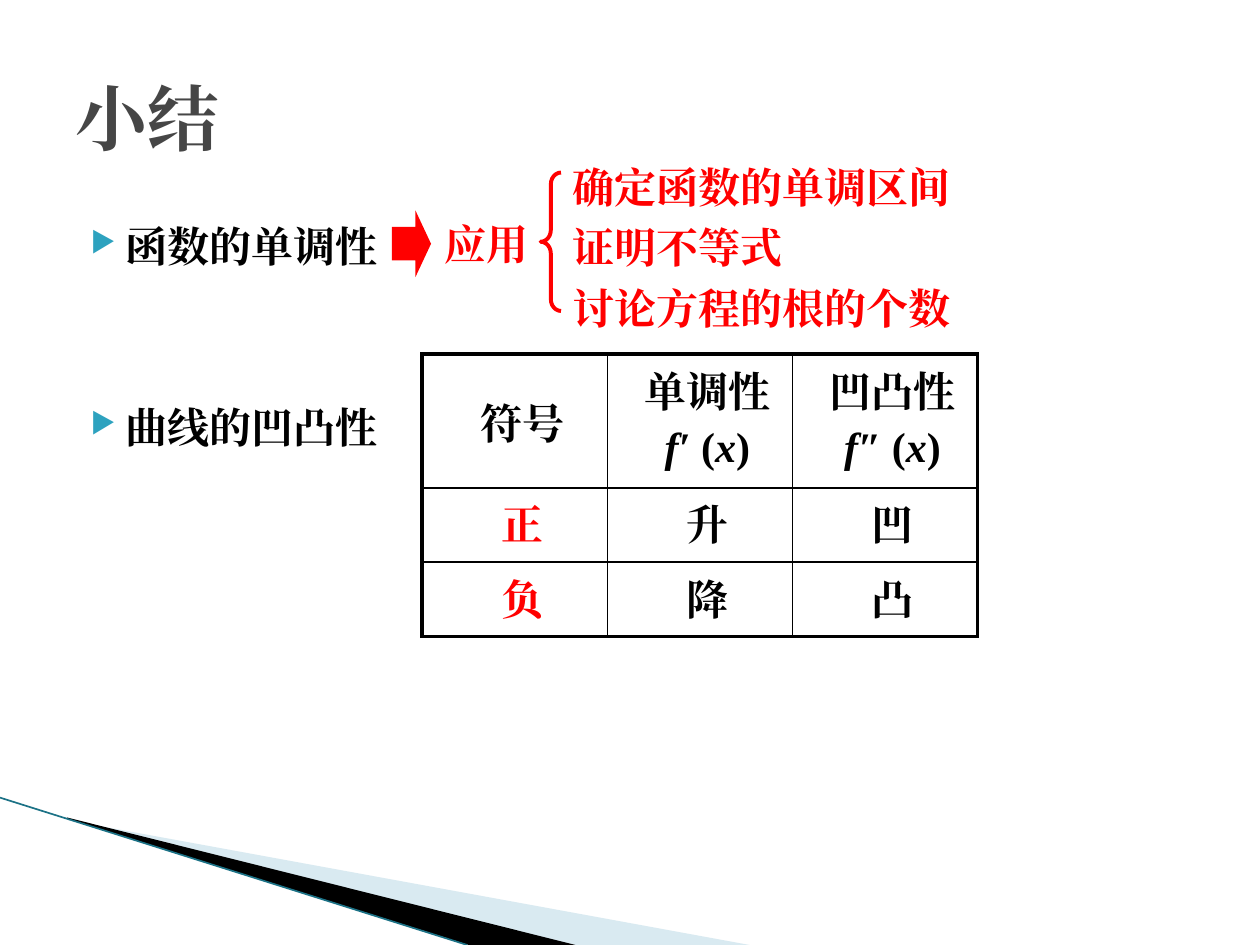
from dataclasses import dataclass

from lxml import etree
from pptx import Presentation
from pptx import util as u
from pptx.dml.color import RGBColor
from pptx.enum import shapes, text
from pptx.oxml import ns


@dataclass(frozen=True)
class Theme:
    font: str = "Times New Roman"
    ink: str = "000000"
    title_ink: str = "464646"
    accent: str = "FF0000"
    bullet: str = "2DA2BF"
    pale: str = "A0CBDC"
    edge: str = "1C7286"
    title_size: float = 41
    body_size: float = 24
    spacing: float = 1.2
    thick: float = 2.25
    thin: float = 1


THEME = Theme()


def add_xml(parent, tag, **attributes):
    return etree.SubElement(parent, ns.qn(tag), attributes)


def write(paragraph, content, color=THEME.ink, size=THEME.body_size, italic=False):
    run = paragraph.add_run()
    run.text = content
    font = run.font
    font.name, font.size, font.bold, font.italic = THEME.font, u.Pt(size), True, italic
    font.color.rgb = RGBColor.from_string(color)
    properties = run._r.get_or_add_rPr()
    properties.set("lang", "zh-CN")
    add_xml(properties, "a:ea", typeface=THEME.font)


class SlideBuilder:
    def __init__(self, slide, theme):
        self.slide = slide
        self.theme = theme

    def text_box(self, place, lines, wrap=True, spacing=None, gap=0, bullets=False,
                 anchor=text.MSO_ANCHOR.TOP, **style):
        shape = self.slide.shapes.add_textbox(*map(u.Cm, place))
        frame = shape.text_frame
        frame.word_wrap = wrap
        frame.vertical_anchor = anchor
        for index, line in enumerate(lines):
            paragraph = frame.add_paragraph() if index else frame.paragraphs[0]
            if spacing:
                paragraph.line_spacing = spacing
            if index and gap:
                paragraph.space_before = u.Pt(gap)
            if bullets:
                self.bullet(paragraph)
            write(paragraph, line, **style)

    def bullet(self, paragraph):
        properties = paragraph._p.get_or_add_pPr()
        properties.set("marL", str(u.Cm(1.02)))
        properties.set("indent", str(u.Cm(-0.71)))
        color = add_xml(properties, "a:buClr")
        add_xml(color, "a:srgbClr", val=self.theme.bullet)
        add_xml(properties, "a:buSzPct", val="68000")
        add_xml(properties, "a:buChar", char="▶")

    def polygon(self, points, color, opacity=None):
        corners = [(u.Cm(x), u.Cm(y)) for x, y in points]
        builder = self.slide.shapes.build_freeform(*corners[0])
        builder.add_line_segments(corners[1:])
        shape = builder.convert_to_shape()
        self.paint(shape, color)
        if opacity:
            fill = shape._element.spPr.find(ns.qn("a:solidFill"))
            add_xml(fill[0], "a:alpha", val=str(opacity * 1000))

    def paint(self, shape, color):
        shape.shadow.inherit = False
        shape.fill.solid()
        shape.fill.fore_color.rgb = RGBColor.from_string(color)
        shape.line.fill.background()

    def line(self, start, end, color, width):
        connector = self.slide.shapes.add_connector(
            shapes.MSO_CONNECTOR.STRAIGHT, *map(u.Cm, start + end))
        connector.line.color.rgb = RGBColor.from_string(color)
        connector.line.width = u.Pt(width)
        add_xml(connector._element.spPr, "a:effectLst")

    def preset(self, kind, place, adjustments):
        shape = self.slide.shapes.add_shape(kind, *map(u.Cm, place))
        for index, value in enumerate(adjustments):
            shape.adjustments[index] = value
        return shape

    def arrow(self, place):
        shape = self.preset(shapes.MSO_SHAPE.RIGHT_ARROW, place, (0.5, 0.4))
        self.paint(shape, self.theme.accent)

    def brace(self, place):
        shape = self.preset(shapes.MSO_SHAPE.LEFT_BRACE, place, (0.58, 0.5))
        shape.shadow.inherit = False
        shape.fill.background()
        shape.line.color.rgb = RGBColor.from_string(self.theme.accent)
        shape.line.width = u.Pt(self.theme.thick)

    def table(self, place, heights, rows):
        last_row, last_column = len(rows) - 1, len(rows[0]) - 1
        table = self.slide.shapes.add_table(
            len(rows), len(rows[0]), *map(u.Cm, place)).table
        table.first_row = table.horz_banding = False
        for row, height in zip(table.rows, heights):
            row.height = u.Cm(height)
        for r, row in enumerate(rows):
            for c, lines in enumerate(row):
                cell = table.cell(r, c)
                outer = {"L": c == 0, "R": c == last_column,
                         "T": r == 0, "B": r == last_row}
                self.borders(cell, outer)
                cell.fill.background()
                if r == c == 0:
                    cell.vertical_anchor = text.MSO_ANCHOR.MIDDLE
                color = self.theme.accent if r and c == 0 else self.theme.ink
                self.cell_text(cell.text_frame, lines, color)

    def borders(self, cell, outer):
        properties = cell._tc.get_or_add_tcPr()
        for side, is_outer in outer.items():
            width = self.theme.thick if is_outer else self.theme.thin
            border = add_xml(properties, f"a:ln{side}", w=str(u.Pt(width)))
            add_xml(add_xml(border, "a:solidFill"), "a:srgbClr", val=self.theme.ink)

    def cell_text(self, frame, lines, color):
        for index, runs in enumerate(lines):
            paragraph = frame.add_paragraph() if index else frame.paragraphs[0]
            paragraph.alignment = text.PP_ALIGN.CENTER
            paragraph.line_spacing = self.theme.spacing
            paragraph._p.get_or_add_pPr().set("marL", str(u.Cm(0.3)))
            for content in runs:
                write(paragraph, content, color=color, italic=content[0] in "fx")


def main():
    presentation = Presentation()
    presentation.slide_width, presentation.slide_height = u.Cm(25.4), u.Cm(19.05)
    slide = presentation.slides.add_slide(presentation.slide_layouts[6])
    builder = SlideBuilder(slide, THEME)

    builder.polygon([(1.4, 16.54), (15.11, 19.05), (11.58, 19.05), (1.4, 16.51)],
                    THEME.pale, opacity=40)
    builder.polygon([(1.35, 16.48), (11.6, 19.05), (9.45, 19.05), (1.37, 16.51)],
                    THEME.ink)
    builder.line((0, 16.08), (9.42, 19.05), THEME.edge, 0.95)

    builder.text_box((1.27, 4.11, 22.86, 5.13), ["函数的单调性", "曲线的凹凸性"],
                     spacing=THEME.spacing, gap=69, bullets=True)
    builder.text_box((1.27, 0.76, 22.86, 3.18), ["小结"], anchor=text.MSO_ANCHOR.MIDDLE,
                     color=THEME.title_ink, size=THEME.title_size)
    builder.text_box((11.3, 2.92, 9.4, 3.91),
                     ["确定函数的单调区间", "证明不等式", "讨论方程的根的个数"],
                     spacing=THEME.spacing, color=THEME.accent)
    builder.text_box((8.71, 4.29, 2.41, 1.27), ["应用"], wrap=False, color=THEME.accent)
    builder.brace((10.9, 3.48, 0.41, 2.79))

    header = [[["符号"]],
              [["单调性"], ["f′ ", "(", "x", ")"]],
              [["凹凸性"], ["f″ ", "(", "x", ")"]]]
    signs = [[[[word]] for word in words] for words in ("正升凹", "负降凸")]
    builder.table((8.51, 7.14, 11.2, 5.69), (2.69, 1.5, 1.5), [header] + signs)
    builder.arrow((7.9, 4.24, 0.79, 1.35))

    presentation.save("out.pptx")


if __name__ == "__main__":
    main()
